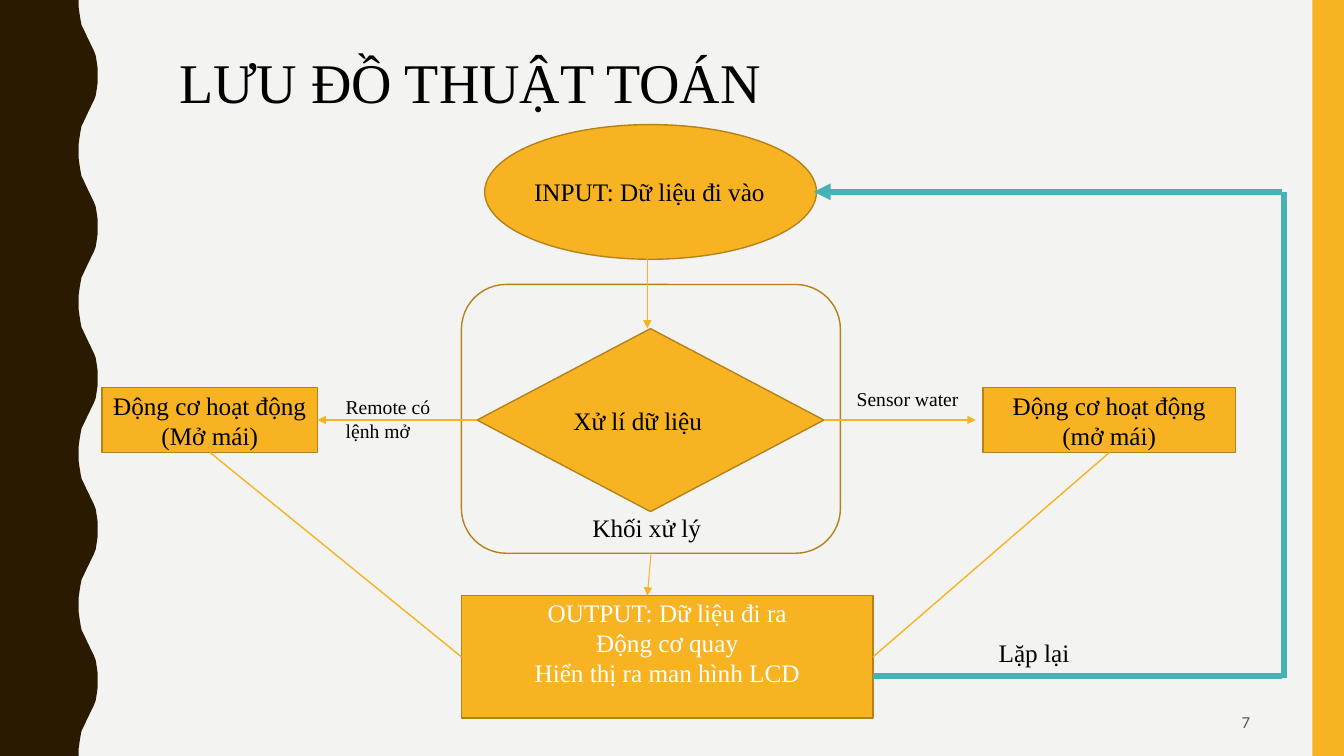
from lxml import etree
from pptx import Presentation
from pptx.dml.color import RGBColor
from pptx.enum import shapes, text
from pptx.oxml import ns
from pptx.util import Pt

GOLD, BRONZE, TEAL, BROWN = "F8B323", "B48219", "46B2B5", "2A1A00"
BLACK, WHITE, GREY, PAPER = "000000", "FFFFFF", "595959", "F3F3F2"
SERIF, SANS = "Times New Roman", "Calibri"
KIND, ALIGN, ANCHOR = shapes.MSO_SHAPE, text.PP_ALIGN, text.MSO_ANCHOR

SLIDE_WIDTH, SLIDE_HEIGHT = 960, 540
WAVE_PERIOD = 108
# First half of one wave, as (x, y); the second half mirrors it.
WAVE = [(56.2, 0), (56.2, 5), (56.9, 10), (57.6, 14.4), (58.3, 18),
        (59.8, 21), (61.2, 24), (62.6, 27), (64.1, 30), (65.5, 33),
        (67, 36), (68.4, 39.6), (69.1, 44), (69.8, 49), (69.8, 54)]

# kind, (left, top, width, height), fill, wording, text colour, bottom inset
BLOCKS = [
    (KIND.OVAL, (346.2, 89, 237, 96.2), GOLD, "", BLACK, 3.6),
    (KIND.FLOWCHART_DECISION, (340.8, 234.7, 247.7, 130.7), GOLD, "", BLACK, 3.6),
    (KIND.RECTANGLE, (72.8, 277, 154, 46.2), GOLD,
     "Động cơ hoạt động (Mở mái)", BLACK, 3.6),
    (KIND.RECTANGLE, (702.2, 277, 180.2, 46.2), GOLD,
     "Động cơ hoạt động\n(mở mái)", BLACK, 3.6),
    (KIND.ROUNDED_RECTANGLE, (329.6, 203.2, 270.7, 192), None, "", BLACK, 3.6),
    (KIND.RECTANGLE, (329.6, 425.5, 294, 87.5), GOLD,
     "OUTPUT: Dữ liệu đi ra\nĐộng cơ quay\nHiển thị ra man hình LCD", WHITE, 24.4),
]

# (left, top, width, height), wording, size, font, colour, alignment
LABELS = [
    ((374.4, 122.6, 189.4, 29), "INPUT: Dữ liệu đi vào", 18, SERIF, BLACK, ALIGN.LEFT),
    ((402.5, 286, 144, 29), "Xử lí dữ liệu", 18, SERIF, BLACK, ALIGN.LEFT),
    ((239.8, 278.6, 87.8, 41), "Remote có lệnh mở", 14, SERIF, BLACK, ALIGN.LEFT),
    ((604.8, 272.9, 94.3, 24.5), "Sensor water", 14, SERIF, BLACK, ALIGN.LEFT),
    ((416, 362.4, 165, 29), "Khối xử lý", 18, SERIF, BLACK, ALIGN.LEFT),
    ((706.3, 451.4, 185, 29), "Lặp lại", 18, SERIF, BLACK, ALIGN.LEFT),
    ((121, 30.4, 696, 55.4), "LƯU ĐỒ THUẬT TOÁN", 40, SERIF, BLACK, ALIGN.LEFT),
    ((678.2, 505, 221.8, 22), "7", 12, SANS, GREY, ALIGN.RIGHT),
]

# start, end, colour, width, has arrowhead
LINKS = [
    ((462.4, 185.2), (462.4, 234.7), GOLD, 1, True),
    ((340.8, 300), (226.8, 300), GOLD, 0.75, True),
    ((588.5, 300), (697, 300), GOLD, 0.75, True),
    ((150, 323.2), (329.6, 469.2), GOLD, 1, False),
    ((792.5, 323.2), (623.6, 469.2), GOLD, 1, False),
    ((465, 395.2), (462.4, 425.5), GOLD, 0.75, True),
    ((623.6, 483), (916, 483), TEAL, 4, False),
    ((917.3, 484), (917.3, 137), TEAL, 4, False),
    ((916, 137), (581.3, 137), TEAL, 4, True),
]


def color(hex_code):
    return RGBColor.from_string(hex_code)


def paint(shape, fill, line=None):
    shape.shadow.inherit = False
    if fill:
        shape.fill.solid()
        shape.fill.fore_color.rgb = color(fill)
    else:
        shape.fill.background()
    if line:
        shape.line.color.rgb = color(line)
        shape.line.width = Pt(1)
    else:
        shape.line.fill.background()


def write(shape, wording, size, font, ink, align):
    frame = shape.text_frame
    frame.word_wrap = True
    frame.text = wording
    for paragraph in frame.paragraphs:
        paragraph.alignment = align
        for run in paragraph.runs:
            run.font.size = Pt(size)
            run.font.name = font
            run.font.color.rgb = color(ink)


def add_wave(slide):
    mirrored = [(x, WAVE_PERIOD - y) for x, y in WAVE[-2::-1]]
    edge = [(x, y + top) for top in range(0, SLIDE_HEIGHT, WAVE_PERIOD)
            for x, y in WAVE + mirrored]
    outline = [(Pt(x), Pt(y)) for x, y in edge + [(0, SLIDE_HEIGHT)]]
    builder = slide.shapes.build_freeform(0, 0)
    builder.add_line_segments(outline, close=True)
    paint(builder.convert_to_shape(), BROWN)


def add_block(slide, kind, box, fill, wording, ink, bottom):
    shape = slide.shapes.add_shape(kind, *map(Pt, box))
    paint(shape, fill, BRONZE)
    if wording:
        write(shape, wording, 18, SERIF, ink, ALIGN.CENTER)
        shape.text_frame.vertical_anchor = ANCHOR.MIDDLE
        shape.text_frame.margin_bottom = Pt(bottom)


def add_link(slide, start, end, ink, width, has_arrow):
    link = slide.shapes.add_connector(
        shapes.MSO_CONNECTOR.STRAIGHT, *map(Pt, start + end))
    link.line.color.rgb = color(ink)
    link.line.width = Pt(width)
    if has_arrow:
        tail = etree.SubElement(link.line._get_or_add_ln(), ns.qn("a:tailEnd"))
        tail.set("type", "triangle")
    etree.SubElement(link._element.spPr, ns.qn("a:effectLst"))


def main():
    presentation = Presentation()
    presentation.slide_width = Pt(SLIDE_WIDTH)
    presentation.slide_height = Pt(SLIDE_HEIGHT)
    slide = presentation.slides.add_slide(presentation.slide_layouts[6])
    slide.background.fill.solid()
    slide.background.fill.fore_color.rgb = color(PAPER)

    add_wave(slide)
    stripe = slide.shapes.add_shape(
        KIND.RECTANGLE, Pt(937.5), 0, Pt(22.5), Pt(SLIDE_HEIGHT))
    paint(stripe, GOLD)
    for block in BLOCKS:
        add_block(slide, *block)
    for link in LINKS:
        add_link(slide, *link)
    for box, *wording in LABELS:
        write(slide.shapes.add_textbox(*map(Pt, box)), *wording)

    presentation.save("out.pptx")


if __name__ == "__main__":
    main()
